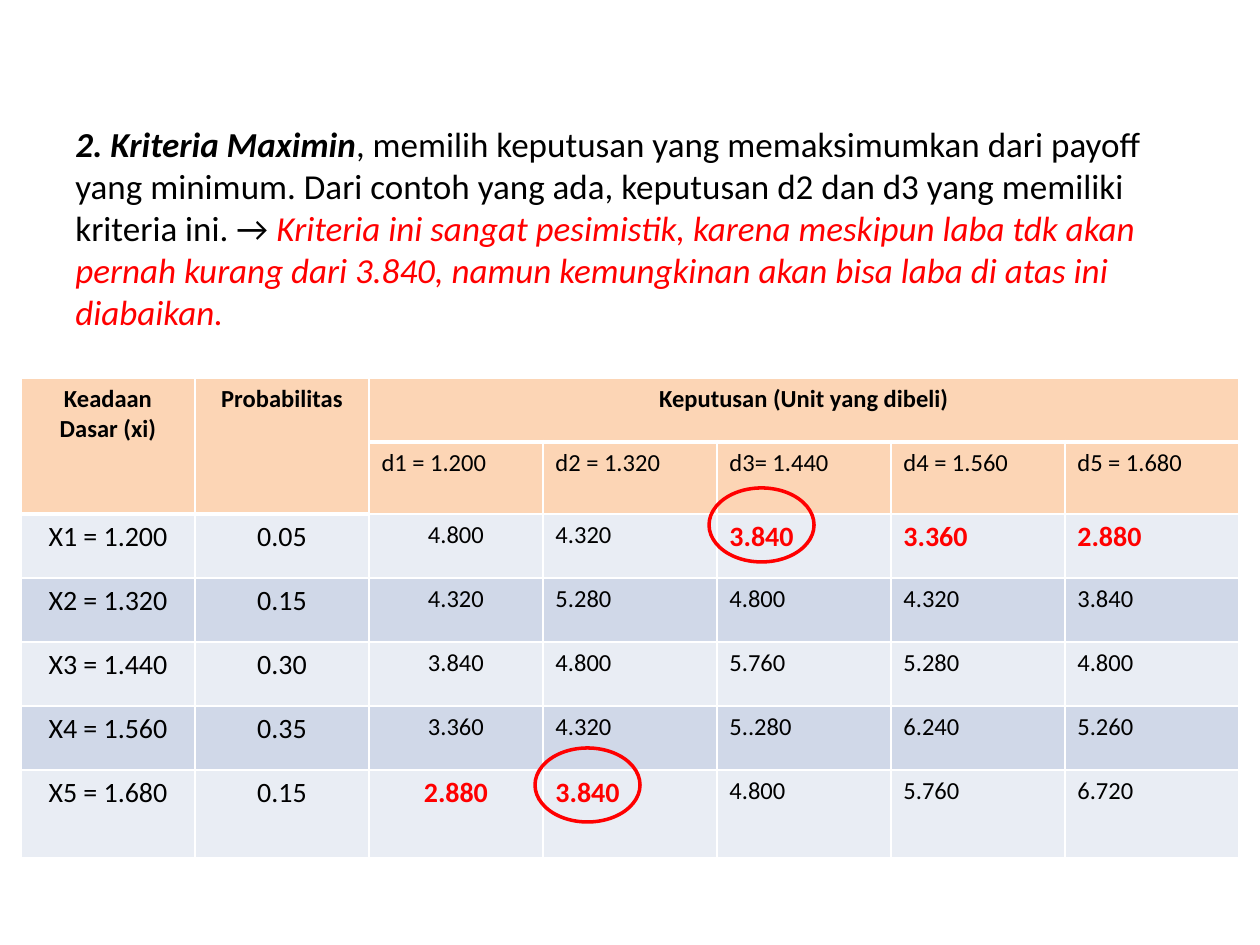
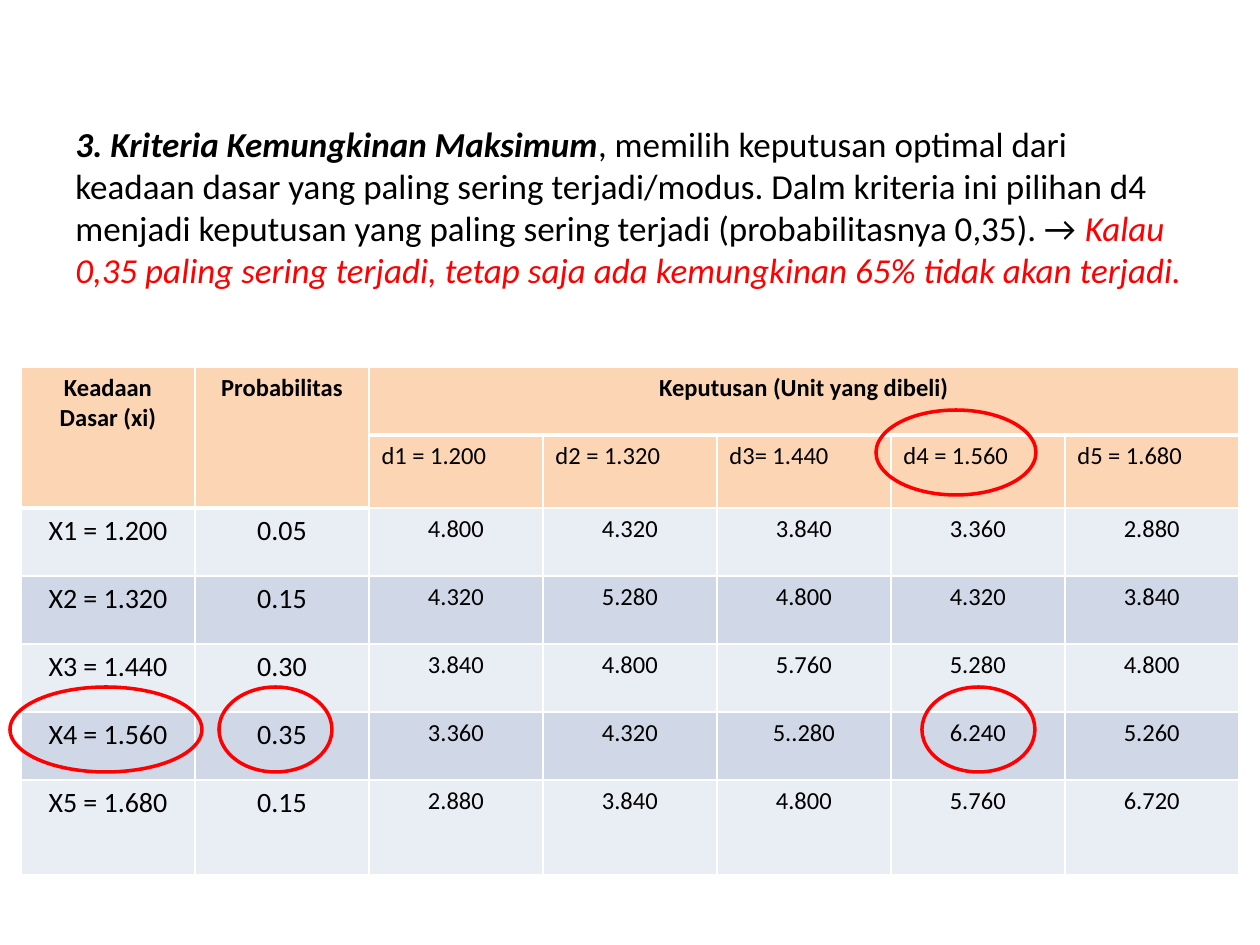
from dataclasses import dataclass

from lxml.etree import SubElement
from pptx import Presentation
from pptx.dml.color import RGBColor
from pptx.enum.shapes import MSO_SHAPE as Shape
from pptx.enum.text import PP_ALIGN as Align
from pptx.oxml.ns import qn
from pptx.util import Emu, Pt


@dataclass(frozen=True)
class Theme:
    font: str = "Calibri"
    ink: str = "000000"
    accent: str = "FF0000"
    border: str = "FFFFFF"
    header: str = "FCD5B5"
    bands: tuple = ("E9EDF4", "D0D8E8")
    intro_size: int = 20
    label_size: int = 16
    value_size: int = 14
    thin: int = 1
    thick: int = 3
    ring: int = 2


THEME = Theme()

# Content shared by both payoff tables
STATE_HEADS = ["Keadaan Dasar (xi)", "Probabilitas"]
DECISION_HEAD = "Keputusan (Unit yang dibeli)"
DECISIONS = ["d1 = 1.200", "d2 = 1.320", "d3= 1.440", "d4 = 1.560", "d5 = 1.680"]
PAYOFFS = [
    ["X1 = 1.200", "0.05", "4.800", "4.320", "3.840", "3.360", "2.880"],
    ["X2 = 1.320", "0.15", "4.320", "5.280", "4.800", "4.320", "3.840"],
    ["X3 = 1.440", "0.30", "3.840", "4.800", "5.760", "5.280", "4.800"],
    ["X4 = 1.560", "0.35", "3.360", "4.320", "5..280", "6.240", "5.260"],
    ["X5 = 1.680", "0.15", "2.880", "3.840", "4.800", "5.760", "6.720"],
]

# Minima are (payoff row, column); rings are (left, top, width, height) in px
CRITERIA = [
    {
        "name": "2. Kriteria Maximin",
        "rule": ", memilih keputusan yang memaksimumkan dari payoff yang minimum. "
                "Dari contoh yang ada, keputusan d2 dan d3 yang memiliki kriteria ini. → ",
        "remark": "Kriteria ini sangat pesimistik, karena meskipun laba tdk akan pernah "
                  "kurang dari 3.840, namun kemungkinan akan bisa laba di atas ini diabaikan.",
        "table_top": 378,
        "row_heights": [64, 72, 64, 64, 64, 64, 88],
        "value_align": Align.LEFT,
        "minima": {(0, 4), (0, 5), (0, 6), (4, 2), (4, 3)},
        "rings": [(535, 748, 105, 74), (709, 488, 105, 74)],
    },
    {
        "name": "3. Kriteria Kemungkinan Maksimum",
        "rule": ", memilih keputusan optimal dari keadaan dasar yang paling sering "
                "terjadi/modus. Dalm kriteria ini pilihan d4 menjadi keputusan yang paling "
                "sering terjadi (probabilitasnya 0,35). → ",
        "remark": "Kalau 0,35 paling sering terjadi, tetap saja ada kemungkinan 65% "
                  "tidak akan terjadi.",
        "table_top": 367,
        "row_heights": [68, 73, 68, 68, 68, 68, 95],
        "value_align": Align.CENTER,
        "minima": set(),
        "rings": [(219, 687, 113, 85), (10, 687, 192, 85),
                  (922, 687, 113, 85), (876, 410, 160, 85)],
    },
]

# Layout in px
PX_PER_INCH = 126
PAGE = (1260, 945)
INTRO = (63, 116, 1134, 231)
TABLE_LEFT, COLUMN_WIDTH = 21, 174
HEADER_ROWS = 2


def px(length):
    return Emu(length * 914400 // PX_PER_INCH)


def rgb(value):
    return RGBColor.from_string(value)


def style_font(font, size, color=THEME.ink, bold=False):
    font.name, font.size, font.bold = THEME.font, Pt(size), bold
    font.color.rgb = rgb(color)


def add_intro(page, criterion):
    box = page.shapes.add_textbox(*map(px, INTRO))
    box.text_frame.word_wrap = True
    para = box.text_frame.paragraphs[0]
    para.space_before = Pt(THEME.intro_size * 0.2)
    style_font(para.font, THEME.intro_size)
    for part, bold, italic, color in (("name", True, True, THEME.ink),
                                      ("rule", False, False, THEME.ink),
                                      ("remark", False, True, THEME.accent)):
        span = para.add_run()
        span.text = criterion[part]
        style_font(span.font, THEME.intro_size, color, bold)
        span.font.italic = italic


def paint_cell(cell, fill, bottom):
    properties = cell._tc.get_or_add_tcPr()
    for side, width in (("L", THEME.thin), ("R", THEME.thin),
                        ("T", THEME.thin), ("B", bottom)):
        line = SubElement(properties, qn(f"a:ln{side}"), w=str(Pt(width)))
        solid = SubElement(line, qn("a:solidFill"))
        SubElement(solid, qn("a:srgbClr"), val=THEME.border)
    cell.fill.solid()
    cell.fill.fore_color.rgb = rgb(fill)


def write_cell(cell, text, align, size, color=THEME.ink, bold=False):
    cell.text = text
    para = cell.text_frame.paragraphs[0]
    para.alignment = align
    style_font(para.font, size, color, bold)


def add_payoff_table(page, criterion):
    heights = criterion["row_heights"]
    state_columns = len(STATE_HEADS)
    columns = state_columns + len(DECISIONS)
    frame = page.shapes.add_table(
        len(heights), columns, px(TABLE_LEFT), px(criterion["table_top"]),
        px(columns * COLUMN_WIDTH), px(sum(heights)))
    table = frame.table
    table.first_row = table.horz_banding = False
    for column in table.columns:
        column.width = px(COLUMN_WIDTH)
    for row, height in zip(table.rows, heights):
        row.height = px(height)

    # Fills and borders
    for row in range(len(heights)):
        for column in range(columns):
            in_header = row < HEADER_ROWS
            fill = THEME.header if in_header else THEME.bands[row % 2]
            heavy = row == 0 or (in_header and column < state_columns)
            paint_cell(table.cell(row, column), fill, THEME.thick if heavy else THEME.thin)

    # Header
    for column, head in enumerate(STATE_HEADS):
        table.cell(0, column).merge(table.cell(1, column))
        write_cell(table.cell(0, column), head, Align.CENTER, THEME.value_size, bold=True)
    table.cell(0, state_columns).merge(table.cell(0, columns - 1))
    write_cell(table.cell(0, state_columns), DECISION_HEAD, Align.CENTER,
               THEME.value_size, bold=True)
    for column, decision in enumerate(DECISIONS, state_columns):
        write_cell(table.cell(1, column), decision, Align.LEFT, THEME.value_size)

    # States, probabilities and payoffs; the first decision is always centred
    for row, values in enumerate(PAYOFFS):
        for column, value in enumerate(values):
            minimum = (row, column) in criterion["minima"]
            large = minimum or column < state_columns
            align = Align.CENTER if column <= state_columns else criterion["value_align"]
            write_cell(table.cell(row + HEADER_ROWS, column), value, align,
                       THEME.label_size if large else THEME.value_size,
                       THEME.accent if minimum else THEME.ink, minimum)


def add_ring(page, bounds):
    ring = page.shapes.add_shape(Shape.OVAL, *map(px, bounds))
    ring.shadow.inherit = False
    ring.fill.background()
    ring.line.color.rgb = rgb(THEME.accent)
    ring.line.width = Pt(THEME.ring)


def main():
    deck = Presentation()
    deck.slide_width, deck.slide_height = map(px, PAGE)
    for criterion in CRITERIA:
        page = deck.slides.add_slide(deck.slide_layouts[6])
        add_intro(page, criterion)
        add_payoff_table(page, criterion)
        for bounds in criterion["rings"]:
            add_ring(page, bounds)
    deck.save("out.pptx")


if __name__ == "__main__":
    main()
